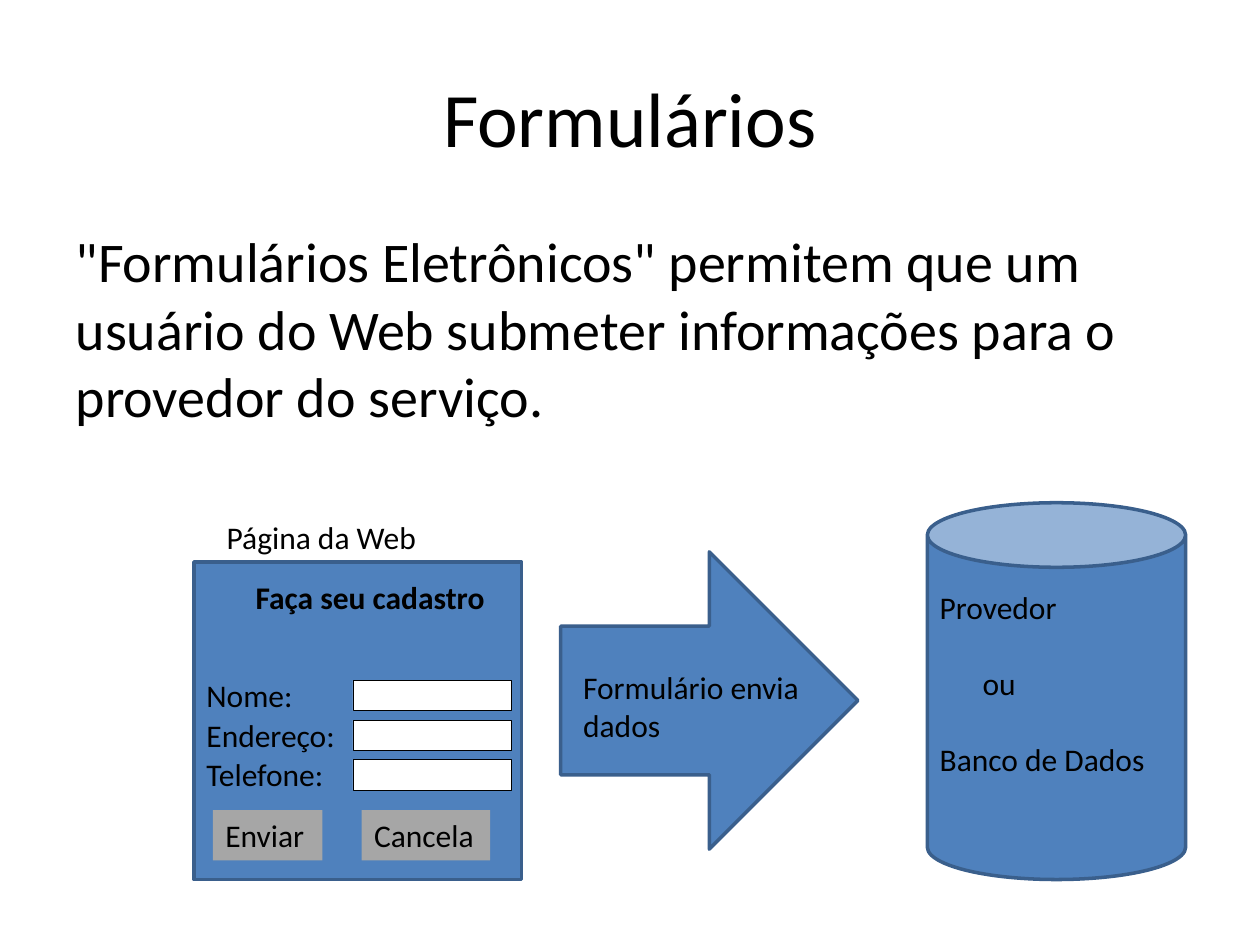
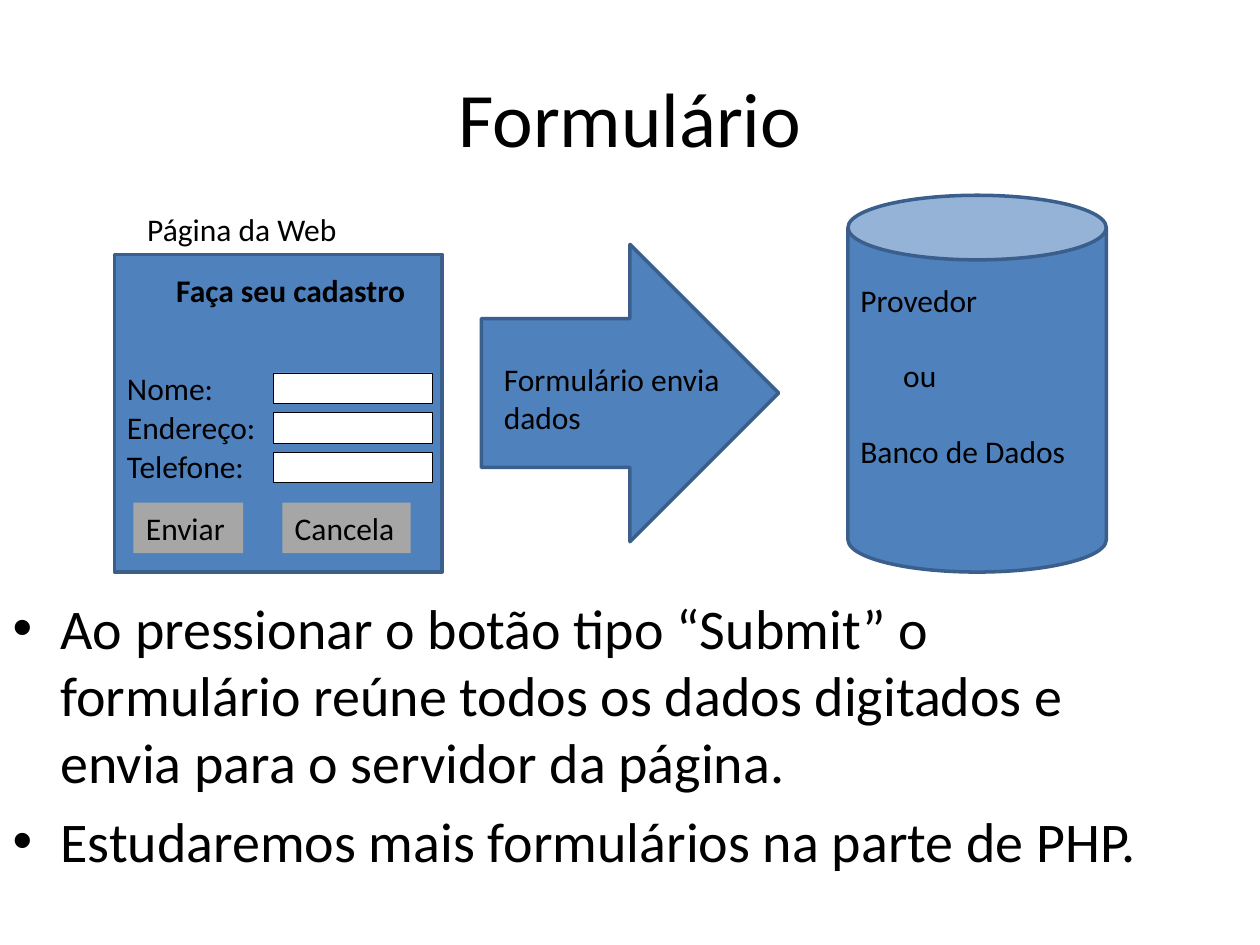
from pptx import Presentation
from pptx.dml.color import RGBColor
from pptx.enum.shapes import MSO_SHAPE
from pptx.enum.text import MSO_ANCHOR, MSO_AUTO_SIZE, PP_ALIGN
from pptx.util import Inches, Pt
from lxml.etree import SubElement

COLORS = {
    "text": "000000",
    "white": "FFFFFF",
    "blue": "4F81BD",
    "edge": "3A5F8C",
    "button": "A6A6A6",
}
FONT = "Calibri"
COLS, ROWS = 100, 75
A = "{http://schemas.openxmlformats.org/drawingml/2006/main}"


def rgb(name):
    return RGBColor.from_string(COLORS[name])


def indent(p, left, first=0, bullet=None):
    pPr = p._p.get_or_add_pPr()
    pPr.set("marL", str(Inches(left)))
    pPr.set("indent", str(Inches(first)))
    if bullet:
        SubElement(pPr, A + "buFont", typeface="Arial")
        SubElement(pPr, A + "buChar", char=bullet)
    else:
        SubElement(pPr, A + "buNone")


class Deck:
    def __init__(self):
        self.prs = Presentation()
        self.prs.slide_width, self.prs.slide_height = Inches(10), Inches(7.5)
        self.col = self.prs.slide_width / COLS
        self.row = self.prs.slide_height / ROWS

    def box(self, x, y, w, h):
        return (round((self.x0 + x) * self.col), round((self.y0 + y) * self.row),
                round(w * self.col), round(h * self.row))

    def origin(self, x=0, y=0):
        self.x0, self.y0 = x, y

    def set_text(self, sp, lines, size, bold=None, anchor=MSO_ANCHOR.TOP):
        tf = sp.text_frame
        tf.word_wrap = True
        tf.auto_size = MSO_AUTO_SIZE.NONE
        tf.vertical_anchor = anchor
        tf.text = "\n".join(lines)
        for p in tf.paragraphs:
            for r in p.runs:
                r.font.name, r.font.size, r.font.bold = FONT, Pt(size), bold
                r.font.color.rgb = rgb("text")
        return tf.paragraphs

    def slide(self, title):
        self.s = self.prs.slides.add_slide(self.prs.slide_layouts[1])
        self.origin()
        sp = self.s.shapes.title
        sp.left, sp.top, sp.width, sp.height = self.box(5, 3, 90, 12.5)
        p = self.set_text(sp, [title], 44, anchor=MSO_ANCHOR.MIDDLE)[0]
        p.alignment = PP_ALIGN.CENTER

    def body(self, lines, x, y, w, h, bullet=None):
        sp = self.s.placeholders[1]
        sp.left, sp.top, sp.width, sp.height = self.box(x, y, w, h)
        hang = 0.38 if bullet else 0
        for p in self.set_text(sp, lines, 32):
            p.space_before = Pt(6.4)
            indent(p, hang, -hang, bullet)

    def group(self):
        self.g = self.s.shapes.add_group_shape()

    def shape(self, kind, x, y, w, h, fill="blue", line="edge", weight=2):
        sp = self.g.shapes.add_shape(kind, *self.box(x, y, w, h))
        sp.shadow.inherit = False
        sp.fill.solid()
        sp.fill.fore_color.rgb = rgb(fill)
        if line:
            sp.line.color.rgb = rgb(line)
            sp.line.width = Pt(weight)
        else:
            sp.line.fill.background()
        return sp

    def label(self, lines, x, y, w, h=4, bold=None):
        sp = self.g.shapes.add_textbox(*self.box(x, y, w, h))
        return self.set_text(sp, lines, 18, bold)

    def button(self, text, x, y, w, h=4):
        sp = self.shape(MSO_SHAPE.RECTANGLE, x, y, w, h, "button", None)
        self.set_text(sp, [text], 18)[0].alignment = PP_ALIGN.LEFT

    def web_page(self):
        self.shape(MSO_SHAPE.RECTANGLE, 0, 4.7, 26, 25.2)
        self.label(["Página da Web"], 1.6, 0.7, 18.8)
        self.label(["Faça seu cadastro"], 3.9, 5.5, 20.5, bold=True)
        for i, name in enumerate(["Nome:", "Endereço:", "Telefone:"]):
            self.label([name], 0, 13.3 + 3.1 * i, 12.6)
            self.shape(MSO_SHAPE.RECTANGLE, 12.6, 14.1 + 3.15 * i, 12.6, 2.4,
                       "white", "text", 0.25)
        self.button("Enviar", 1.5, 24.4, 8.7)
        self.button("Cancela", 13.3, 24.4, 10.2)

    def form_flow(self, x, y):
        self.origin(x, y)
        self.group()
        self.web_page()
        self.shape(MSO_SHAPE.RIGHT_ARROW, 29.1, 3.9, 23.6, 23.6)
        self.shape(MSO_SHAPE.CAN, 58.2, 0, 20.5, 29.9)
        self.label(["Formulário envia dados"], 29.9, 12.6, 23.6, 7.1)
        steps = self.label(["Provedor", "ou", "Banco de Dados"], 58.2, 6.3, 19.7, 16.2)
        for p in steps[1:]:
            p.space_before = Pt(21.6)
        indent(steps[1], 0.34)


def main():
    d = Deck()

    d.slide("Formulários")
    d.body(['"Formulários Eletrônicos" permitem que um usuário do Web submeter '
            "informações para o provedor do serviço."], 5, 17.5, 90, 25.5)
    d.form_flow(15.4, 39.9)

    d.slide("Formulário")
    d.body(["Ao pressionar o botão tipo “Submit” o formulário reúne todos os "
            "dados digitados e envia para o servidor da página.",
            "Estudaremos mais formulários na parte de PHP."],
           0, 46.6, 94.9, 25.5, "•")
    d.form_flow(9.1, 15.5)

    d.prs.save("out.pptx")


if __name__ == "__main__":
    main()
